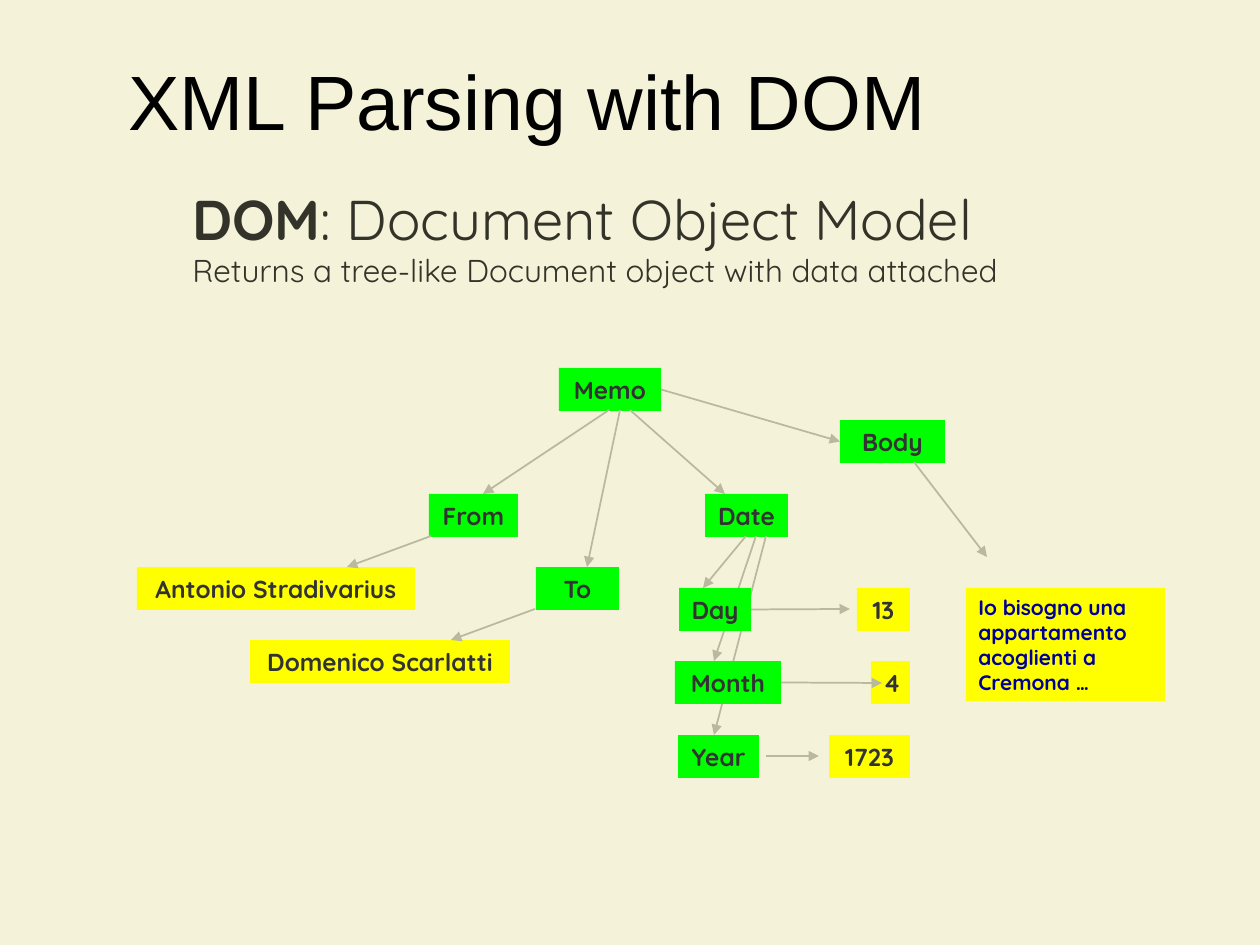
from lxml import etree
from pptx import Presentation
from pptx import util as u
from pptx.dml.color import RGBColor
from pptx.enum import shapes, text
from pptx.oxml import ns

CREAM = RGBColor(0xF4, 0xF3, 0xD9)
BLACK = RGBColor(0, 0, 0)
OLIVE = RGBColor(0x33, 0x33, 0x29)
CHARCOAL = RGBColor(0x33, 0x33, 0x33)
NAVY = RGBColor(0, 0, 0x99)
GREEN = RGBColor(0, 0xFF, 0)
YELLOW = RGBColor(0xFF, 0xFF, 0)
STONE = RGBColor(0xBA, 0xB9, 0xA0)

PX_PER_INCH = 126
NODE_HEIGHT = 43
TOP, LEFT, RIGHT = 0, 1, 3
ROW_ONE, ROW_TWO, ROW_THREE = 588, 661, 735

NODES = [
    ("Memo", 559, 368, 102, GREEN),
    ("Date", 705, 494, 83, GREEN),
    ("From", 429, 494, 89, GREEN),
    ("To", 536, 567, 83, GREEN),
    ("Body", 840, 420, 105, GREEN),
    ("Antonio Stradivarius", 137, 567, 278, YELLOW),
    ("Domenico Scarlatti", 250, 640, 260, YELLOW),
    ("13", 857, ROW_ONE, 53, YELLOW),
    ("4", 871, ROW_TWO, 39, YELLOW),
    ("1723", 829, ROW_THREE, 81, YELLOW),
    ("Day", 679, ROW_ONE, 72, GREEN),
    ("Month", 675, ROW_TWO, 106, GREEN),
    ("Year", 678, ROW_THREE, 81, GREEN),
]
DATE_PARTS = ("Day", "Month", "Year")

ARROWS = [
    ((609, 410), (483, 494)),
    ((620, 410), (587, 567)),
    ((630, 410), (725, 494)),
    (("Memo", RIGHT), ("Body", LEFT)),
    ((431, 536), (347, 567)),
    ((535, 609), (451, 640)),
    ((746, 536), (703, ROW_ONE)),
    ((756, 536), (714, ROW_TWO)),
    ((766, 536), (714, ROW_THREE)),
    (("Day", RIGHT), (850, 609)),
    (("Month", RIGHT), (882, 683)),
    ((766, 756), (819, 756)),
    ((914, 462), (987, 557)),
]


def px(length):
    return u.Emu(round(length * 914400 / PX_PER_INCH))


def set_all(target, values):
    for name, value in values.items():
        setattr(target, name, value)


def add_span(para, words, size, color, name="Quicksand", bold=False):
    span = para.add_run()
    span.text = words
    set_all(span.font, {"name": name, "size": u.Pt(size), "bold": bold})
    span.font.color.rgb = color


def add_title(page, words):
    title = page.shapes.title
    set_all(title, {"left": px(116), "top": px(21), "width": px(1071), "height": px(158)})
    title.text_frame.vertical_anchor = text.MSO_ANCHOR.MIDDLE
    para = title.text_frame.paragraphs[0]
    para.alignment = text.PP_ALIGN.LEFT
    add_span(para, words, 44, BLACK, "Arial")


def add_definition(page):
    box = page.shapes.add_textbox(px(180), px(178), px(842), px(118))
    frame = box.text_frame
    set_all(frame, {"word_wrap": False, "auto_size": text.MSO_AUTO_SIZE.SHAPE_TO_FIT_TEXT})
    heading = frame.paragraphs[0]
    add_span(heading, "DOM", 32, OLIVE, bold=True)
    add_span(heading, ": Document Object Model", 32, OLIVE)
    add_span(frame.add_paragraph(),
             "Returns a tree-like Document object with data attached", 18, OLIVE)


def add_node(page, words, left, top, width, fill, height=NODE_HEIGHT, wrap=False,
             align=text.PP_ALIGN.CENTER, size=14, color=CHARCOAL):
    box = page.shapes.add_shape(shapes.MSO_SHAPE.RECTANGLE,
                                px(left), px(top), px(width), px(height))
    box.shadow.inherit = False
    box.fill.solid()
    box.fill.fore_color.rgb = fill
    box.line.fill.background()
    set_all(box.text_frame, {
        "word_wrap": wrap,
        "auto_size": text.MSO_AUTO_SIZE.SHAPE_TO_FIT_TEXT,
        "vertical_anchor": text.MSO_ANCHOR.MIDDLE,
    })
    para = box.text_frame.paragraphs[0]
    para.alignment = align
    add_span(para, words, size, color, bold=True)
    return box


def add_arrow(page, nodes, start, end):
    points = [(0, 0) if point[0] in nodes else point for point in (start, end)]
    arrow = page.shapes.add_connector(shapes.MSO_CONNECTOR.STRAIGHT,
                                      *(px(value) for point in points for value in point))
    for point, connect in ((start, arrow.begin_connect), (end, arrow.end_connect)):
        if point[0] in nodes:
            connect(nodes[point[0]], point[1])
    arrow.line.color.rgb = STONE
    arrow.line.width = u.Pt(1)
    etree.SubElement(arrow.line._get_or_add_ln(), ns.qn("a:tailEnd"), type="triangle")
    etree.SubElement(arrow._element.spPr, ns.qn("a:effectLst"))
    return arrow


def add_tree(page):
    nodes = {node[0]: add_node(page, *node) for node in NODES}
    add_node(page, "Io bisogno una appartamento acoglienti a Cremona …", 966, ROW_ONE, 199,
             YELLOW, height=113, wrap=True, align=text.PP_ALIGN.LEFT, size=12, color=NAVY)
    for start, end in ARROWS:
        add_arrow(page, nodes, start, end)
    for name in DATE_PARTS:
        page.shapes._spTree.append(nodes[name]._element)


def main():
    deck = Presentation()
    set_all(deck, {"slide_width": px(1260), "slide_height": px(945)})
    page = deck.slides.add_slide(deck.slide_layouts[5])
    page.background.fill.solid()
    page.background.fill.fore_color.rgb = CREAM
    add_title(page, "XML Parsing with DOM")
    add_definition(page)
    add_tree(page)
    deck.save("out.pptx")


if __name__ == "__main__":
    main()
